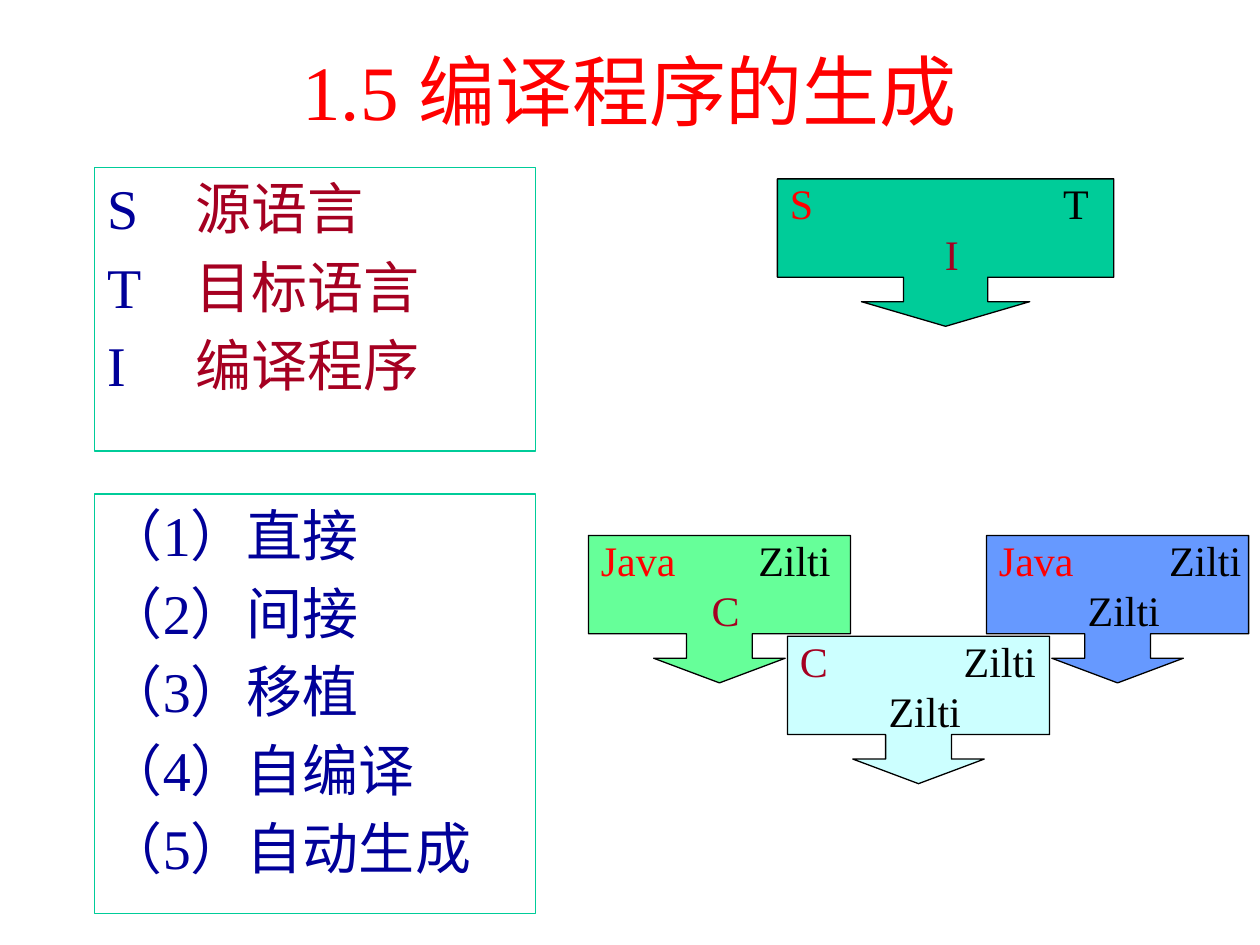
import pptx
import pptx.util
import pptx.dml.color
import pptx.enum.shapes
import pptx.enum.text
import pptx.oxml
import pptx.oxml.ns

Inches = pptx.util.Inches
Pt = pptx.util.Pt
PP_ALIGN = pptx.enum.text.PP_ALIGN
MSO_ANCHOR = pptx.enum.text.MSO_ANCHOR
RED, DARK_RED, NAVY, BLACK, GREEN = "FF0000", "A50021", "000099", "000000", "00CC99"


def rgb(color):
    return pptx.dml.color.RGBColor.from_string(color)


def add_run(paragraph, text, size, color):
    run = paragraph.add_run()
    run.text = text
    run.font.name = "Times New Roman"
    run.font.size = Pt(size)
    run.font.color.rgb = rgb(color)


presentation = pptx.Presentation()
presentation.slide_width = Inches(10)
presentation.slide_height = Inches(7.5)
slide = presentation.slides.add_slide(presentation.slide_layouts[1])

# Title
title = slide.shapes.title
title.left, title.top = Inches(0.75), Inches(0.25)
title.width, title.height = Inches(8.5), Inches(0.92)
title.text_frame.vertical_anchor = MSO_ANCHOR.MIDDLE
title.text_frame.auto_size = pptx.enum.text.MSO_AUTO_SIZE.NONE
title.text_frame.paragraphs[0].alignment = PP_ALIGN.CENTER
add_run(title.text_frame.paragraphs[0], "1.5 编译程序的生成", 44, RED)

# Legend and list of methods: shape, top, height, hanging indent, lines of runs
legend = slide.placeholders[1]
methods = slide.shapes.add_textbox(0, 0, Inches(1), Inches(1))
legend_lines = [
    [(letter + "\t", NAVY), (meaning, DARK_RED)]
    for letter, meaning in [("S", "源语言"), ("T", "目标语言"), ("I", "编译程序")]
]
method_lines = [
    [(f"（{number}）{name}", NAVY)]
    for number, name in enumerate(["直接", "间接", "移植", "自编译", "自动生成"], 1)
]
for shape, top, height, indent, lines in [
    (legend, 1.33, 2.25, 0.7, legend_lines),
    (methods, 3.92, 3.33, 0.38, method_lines),
]:
    shape.left, shape.top = Inches(0.75), Inches(top)
    shape.width, shape.height = Inches(3.5), Inches(height)
    shape.line.color.rgb = rgb(GREEN)
    shape.line.width = Pt(0.75)
    frame = shape.text_frame
    frame.word_wrap = True
    frame.auto_size = pptx.enum.text.MSO_AUTO_SIZE.NONE
    frame.vertical_anchor = MSO_ANCHOR.TOP
    for index, runs in enumerate(lines):
        paragraph = frame.add_paragraph() if index else frame.paragraphs[0]
        properties = paragraph._p.get_or_add_pPr()
        properties.set("marL", str(Inches(indent)))
        properties.set("indent", str(-Inches(indent)))
        pptx.oxml.ns.qn("a:buNone")
        properties.append(pptx.oxml.parse_xml(
            f'<a:buNone {pptx.oxml.ns.nsdecls("a")}/>'))
        paragraph.space_before = Pt(6.4 if index else 0)
        for text, color in runs:
            add_run(paragraph, text, 32, color)

# T-diagrams: left, top, width, arrow size, fill, source, target, tab, implementation
diagrams = [
    (6.17, 1.42, 2.67, 0.571, GREEN, ("S", RED), "T", 2.17, ("I", DARK_RED)),
    (4.67, 4.25, 2.08, 0.446, "66FF99", ("Java", RED), "Zilti", 1.25, ("C", DARK_RED)),
    (6.25, 5.05, 2.08, 0.446, "CCFFFF", ("C", DARK_RED), "Zilti", 1.3, ("Zilti", BLACK)),
    (7.83, 4.25, 2.08, 0.446, "6699FF", ("Java", RED), "Zilti", 1.35, ("Zilti", BLACK)),
]
for left, top, width, arrow, fill, source, target, tab, implementation in diagrams:
    callout = slide.shapes.add_shape(
        pptx.enum.shapes.MSO_SHAPE.DOWN_ARROW_CALLOUT,
        Inches(left), Inches(top), Inches(width), Inches(1.17))
    for index, value in enumerate([arrow, arrow, 0.167, 0.667]):
        callout.adjustments[index] = value
    callout.shadow.inherit = False
    callout.fill.solid()
    callout.fill.fore_color.rgb = rgb(fill)
    callout.line.color.rgb = rgb(BLACK)
    callout.line.width = Pt(0.75)

    frame = callout.text_frame
    frame.word_wrap = True
    frame.margin_right = 0
    frame.vertical_anchor = MSO_ANCHOR.MIDDLE
    languages = frame.paragraphs[0]
    languages.alignment = PP_ALIGN.LEFT
    languages._p.get_or_add_pPr().append(pptx.oxml.parse_xml(
        f'<a:tabLst {pptx.oxml.ns.nsdecls("a")}>'
        f'<a:tab pos="{Inches(tab)}" algn="l"/></a:tabLst>'))
    add_run(languages, source[0], 24, source[1])
    add_run(languages, "\t" + target, 24, BLACK)
    written_in = frame.add_paragraph()
    written_in.alignment = PP_ALIGN.CENTER
    add_run(written_in, implementation[0], 24, implementation[1])

presentation.save("out.pptx")
